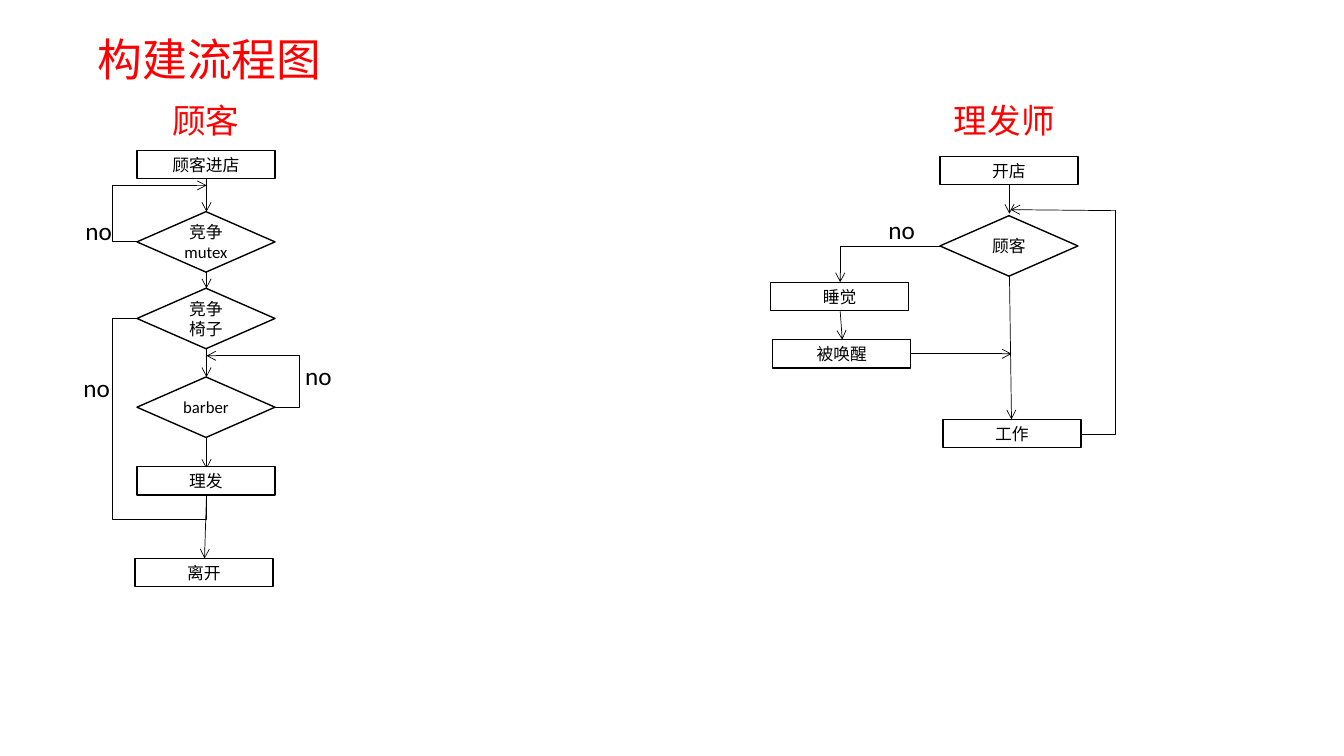
from pptx import Presentation
from pptx.dml.color import RGBColor
from pptx.enum.shapes import MSO_CONNECTOR as Link, MSO_SHAPE as Preset
from pptx.enum.text import MSO_ANCHOR as Anchor, PP_ALIGN as Align
from pptx.oxml.ns import qn
from pptx.util import Inches, Pt
from lxml.etree import SubElement

BLACK = RGBColor(0, 0, 0)
WHITE = RGBColor(255, 255, 255)
RED = RGBColor(255, 0, 0)
BODY_FONT = "Calibri"
TITLE_FONT = "Noto Sans CJK SC"

NODE_WIDTH = 1.37
STEP_HEIGHT = 0.28
DECISION_HEIGHT = 0.6
CUSTOMER_X = 2.05  # centre line of the customer flow
BARBER_X = 10.02  # centre line of the barber flow


def write(frame, text, size, font, color):
    frame.word_wrap = True
    para = frame.paragraphs[0]
    para.text = text
    para.font.size = Pt(size)
    para.font.name = font
    para.font.color.rgb = color
    return para


def add_label(slide, text, left, top, width, height, size=18, font=BODY_FONT, color=BLACK):
    box = slide.shapes.add_textbox(Inches(left), Inches(top), Inches(width), Inches(height))
    write(box.text_frame, text, size, font, color)


def add_node(slide, preset, text, left, top, height):
    node = slide.shapes.add_shape(
        preset, Inches(left), Inches(top), Inches(NODE_WIDTH), Inches(height))
    node.shadow.inherit = False
    node.fill.solid()
    node.fill.fore_color.rgb = WHITE
    node.line.color.rgb = BLACK
    node.line.width = Pt(1)
    node.text_frame.vertical_anchor = Anchor.MIDDLE
    write(node.text_frame, text, 12, BODY_FONT, BLACK).alignment = Align.CENTER


def add_step(slide, text, left, top):
    add_node(slide, Preset.FLOWCHART_PROCESS, text, left, top, STEP_HEIGHT)


def add_decision(slide, text, left, top):
    add_node(slide, Preset.FLOWCHART_DECISION, text, left, top, DECISION_HEIGHT)


def add_link(slide, start, end, arrow=True, bend=None, adjustments=()):
    """Straight link, or an elbow of the given bentConnector number."""
    link = slide.shapes.add_connector(
        Link.ELBOW if bend else Link.STRAIGHT, *map(Inches, start + end))
    link.line.color.rgb = BLACK
    link.line.width = Pt(0.5)
    properties = link.element.spPr
    SubElement(properties, qn("a:effectLst"))
    if arrow:
        SubElement(properties.find(qn("a:ln")), qn("a:tailEnd"), type="arrow")
    if bend:
        geometry = properties.find(qn("a:prstGeom"))
        geometry.set("prst", f"bentConnector{bend}")
        guides = geometry.find(qn("a:avLst"))
        for number, share in enumerate(adjustments, 1):
            SubElement(guides, qn("a:gd"), name=f"adj{number}",
                       fmla=f"val {round(share * 100000)}")


def draw_customer_flow(slide):
    # Steps and decisions
    left = 1.36
    add_step(slide, "顾客进店", left, 1.49)
    for text, top in (("竞争mutex", 2.1), ("竞争椅子", 2.86), ("barber", 3.74)):
        add_decision(slide, text, left, top)
    # Downward arrows
    for top, bottom in ((1.77, 2.1), (2.7, 2.86), (3.46, 3.74), (4.34, 4.65)):
        add_link(slide, (CUSTOMER_X, top), (CUSTOMER_X, bottom))
    add_step(slide, "理发", left, 4.63)
    add_step(slide, "离开", 1.34, 5.54)
    add_link(slide, (CUSTOMER_X, 4.91), (2.03, 5.54))
    # "no" branches
    add_link(slide, (left, 2.4), (CUSTOMER_X, 1.84), bend=3, adjustments=[-0.36])
    add_link(slide, (2.73, 4.04), (CUSTOMER_X, 3.53), bend=3, adjustments=[-0.36])
    add_link(slide, (left, 3.16), (CUSTOMER_X, 4.91), arrow=False, bend=4,
             adjustments=[-0.36, 1.14])
    for x, y in ((0.75, 2.09), (2.93, 3.53), (0.73, 3.64)):
        add_label(slide, "no", x, y, 0.61, 0.4)


def draw_barber_flow(slide):
    # Steps and decision
    for text, left, top in (("开店", 9.33, 1.55), ("睡觉", 7.65, 2.8),
                            ("被唤醒", 7.67, 3.37), ("工作", 9.36, 4.16)):
        add_step(slide, text, left, top)
    add_decision(slide, "顾客", 9.33, 2.14)
    # Straight arrows
    for start, end in (((BARBER_X, 1.83), (BARBER_X, 2.12)),
                       ((BARBER_X, 2.74), (10.04, 4.16)),
                       ((8.34, 3.09), (8.36, 3.37)),
                       ((9.04, 3.51), (10.04, 3.51))):
        add_link(slide, start, end)
    # "no" branch to sleep
    add_link(slide, (9.33, 2.44), (8.34, 2.8), bend=2)
    add_label(slide, "no", 8.72, 2.08, 0.61, 0.4)
    # Return from work to the decision
    add_link(slide, (10.73, 4.31), (11.07, 2.08), arrow=False, bend=2)
    add_link(slide, (11.07, 2.09), (10.03, 2.08))


def main():
    deck = Presentation()
    deck.slide_width, deck.slide_height = Inches(13.34), Inches(7.5)
    slide = deck.slides.add_slide(deck.slide_layouts[6])

    # Headings
    add_label(slide, "构建流程图", 0.87, 0.27, 2.77, 0.64, 32, TITLE_FONT, RED)
    add_label(slide, "顾客", 1.61, 0.94, 0.9, 0.5, 24, TITLE_FONT, RED)
    add_label(slide, "理发师", 9.37, 0.94, 1.29, 0.5, 24, TITLE_FONT, RED)

    draw_customer_flow(slide)
    draw_barber_flow(slide)
    deck.save("out.pptx")


if __name__ == "__main__":
    main()
